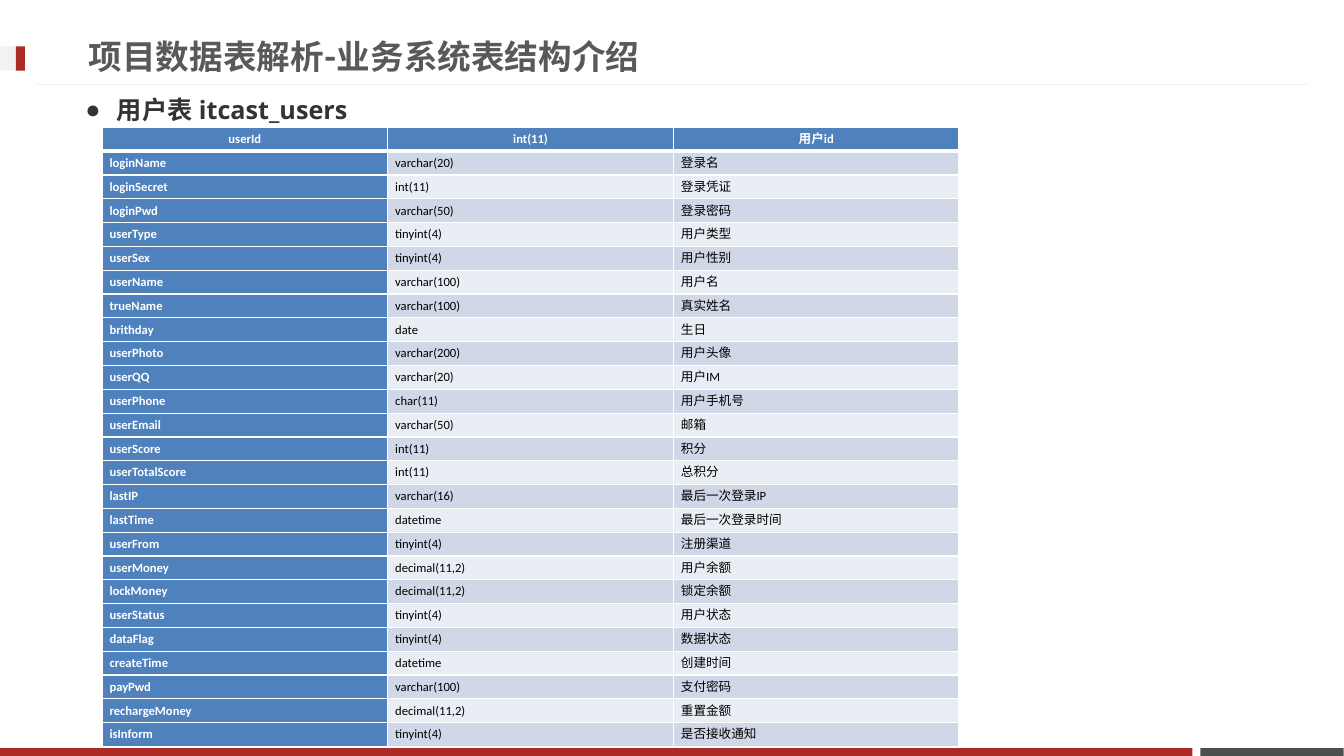
"""Build the slide that lists the columns of the itcast_users table."""
import lxml.etree
import pptx
import pptx.dml.color
import pptx.enum.shapes
import pptx.enum.text
import pptx.oxml.ns
import pptx.util

Cm, Pt = pptx.util.Cm, pptx.util.Pt
qn = pptx.oxml.ns.qn
ALIGN = pptx.enum.text.PP_ALIGN
MIDDLE = pptx.enum.text.MSO_ANCHOR.MIDDLE

TITLE = "项目数据表解析-业务系统表结构介绍"
HEADING = "用户表 itcast_users"
COLUMNS = [
    ("userId", "int(11)", "用户id"),
    ("loginName", "varchar(20)", "登录名"),
    ("loginSecret", "int(11)", "登录凭证"),
    ("loginPwd", "varchar(50)", "登录密码"),
    ("userType", "tinyint(4)", "用户类型"),
    ("userSex", "tinyint(4)", "用户性别"),
    ("userName", "varchar(100)", "用户名"),
    ("trueName", "varchar(100)", "真实姓名"),
    ("brithday", "date", "生日"),
    ("userPhoto", "varchar(200)", "用户头像"),
    ("userQQ", "varchar(20)", "用户IM"),
    ("userPhone", "char(11)", "用户手机号"),
    ("userEmail", "varchar(50)", "邮箱"),
    ("userScore", "int(11)", "积分"),
    ("userTotalScore", "int(11)", "总积分"),
    ("lastIP", "varchar(16)", "最后一次登录IP"),
    ("lastTime", "datetime", "最后一次登录时间"),
    ("userFrom", "tinyint(4)", "注册渠道"),
    ("userMoney", "decimal(11,2)", "用户余额"),
    ("lockMoney", "decimal(11,2)", "锁定余额"),
    ("userStatus", "tinyint(4)", "用户状态"),
    ("dataFlag", "tinyint(4)", "数据状态"),
    ("createTime", "datetime", "创建时间"),
    ("payPwd", "varchar(100)", "支付密码"),
    ("rechargeMoney", "decimal(11,2)", "重置金额"),
    ("isInform", "tinyint(4)", "是否接收通知"),
]
COLORS = {
    "red": "AD2B26", "slate": "49504F", "pale": "F2F2F2", "title": "595959",
    "heading": "333333", "blue": "4F81BD", "odd": "D0D8E8", "even": "E9EDF4",
    "white": "FFFFFF", "black": "000000",
}
BARS = [
    ("slate", 30.25, 18.85, 3.61, 0.2),
    ("red", 0, 18.85, 30.05, 0.2),
    ("pale", 0, 1.17, 0.64, 0.61),
    ("red", 0.4, 1.17, 0.23, 0.61),
]
TABLE_LEFT, TABLE_TOP, COLUMN_WIDTH, ROW_HEIGHT = 2.57, 3.21, 7.2, 0.6


def color(name):
    return pptx.dml.color.RGBColor.from_string(COLORS[name])


def format_text(para, font_name, size, color_name, bold, align=ALIGN.LEFT):
    para.alignment = align
    font = para.font
    font.size, font.bold, font.name = Pt(size), bold, font_name
    font.color.rgb = color(color_name)
    defaults = para._p.pPr.find(qn("a:defRPr"))
    lxml.etree.SubElement(defaults, qn("a:ea")).set("typeface", font_name)


def place(box, left, top, width, height):
    box.left, box.top, box.width, box.height = map(Cm, (left, top, width, height))
    box.text_frame.auto_size = pptx.enum.text.MSO_AUTO_SIZE.NONE


def add_bullet(para, indent):
    props = para._p.get_or_add_pPr()
    props.set("marL", str(Cm(indent)))
    props.set("indent", str(-Cm(indent)))
    lxml.etree.SubElement(props, qn("a:buFont")).set("typeface", "Arial")
    lxml.etree.SubElement(props, qn("a:buChar")).set("char", "●")


def add_borders(cell, widths):
    props = cell._tc.get_or_add_tcPr()
    for side, width in zip("LRTB", widths):
        line = lxml.etree.SubElement(props, qn("a:ln" + side), w=str(Pt(width)))
        fill = lxml.etree.SubElement(line, qn("a:solidFill"))
        lxml.etree.SubElement(fill, qn("a:srgbClr"), val=COLORS["white"])


def add_decoration(page):
    for name, left, top, width, height in BARS:
        bar = page.shapes.add_shape(pptx.enum.shapes.MSO_SHAPE.RECTANGLE,
                                    Cm(left), Cm(top), Cm(width), Cm(height))
        bar.shadow.inherit = False
        bar.fill.solid()
        bar.fill.fore_color.rgb = color(name)
        bar.line.fill.background()
    rule = page.shapes.add_connector(pptx.enum.shapes.MSO_CONNECTOR.STRAIGHT,
                                     Cm(32.97), Cm(2.13), Cm(0.89), Cm(2.13))
    rule.line.color.rgb = color("pale")
    rule.line.width = Pt(0.75)
    lxml.etree.SubElement(rule._element.spPr, qn("a:effectLst"))


def add_headings(page):
    title, body = page.placeholders
    place(title, 1.98, 0.69, 24.36, 1.45)
    title.text_frame.text = TITLE
    title.text_frame.vertical_anchor = MIDDLE
    format_text(title.text_frame.paragraphs[0], "Roboto", 24, "title", True)

    place(body, 1.9, 2.26, 13.13, 1.7)
    body.text_frame.text = HEADING
    para = body.text_frame.paragraphs[0]
    para.space_before = Pt(0)
    add_bullet(para, 0.79)
    format_text(para, "Open Sans", 18, "heading", True)


def add_column_table(page):
    rows, columns = len(COLUMNS), len(COLUMNS[0])
    table = page.shapes.add_table(rows, columns, Cm(TABLE_LEFT), Cm(TABLE_TOP),
                                  Cm(COLUMN_WIDTH * columns), Cm(ROW_HEIGHT * rows)).table
    for column in table.columns:
        column.width = Cm(COLUMN_WIDTH)
    for r, values in enumerate(COLUMNS):
        table.rows[r].height = Cm(ROW_HEIGHT)
        for c, value in enumerate(values):
            cell = table.cell(r, c)
            strong = r == 0 or c == 0
            cell.text = value
            cell.vertical_anchor = MIDDLE
            cell.margin_left = cell.margin_right = Cm(0.19)
            cell.margin_top = cell.margin_bottom = Cm(0.09)
            add_borders(cell, (1, 1, 3 if r == 1 else 1, 3 if r == 0 else 1))
            cell.fill.solid()
            cell.fill.fore_color.rgb = color("blue" if strong else "odd" if r % 2 else "even")
            format_text(cell.text_frame.paragraphs[0], "Calibri", 9,
                        "white" if strong else "black", strong,
                        ALIGN.CENTER if r == 0 else ALIGN.LEFT)


def main():
    deck = pptx.Presentation()
    deck.slide_width, deck.slide_height = Cm(33.87), Cm(19.05)
    page = deck.slides.add_slide(deck.slide_layouts[1])
    add_decoration(page)
    add_headings(page)
    add_column_table(page)
    deck.save("out.pptx")


if __name__ == "__main__":
    main()
